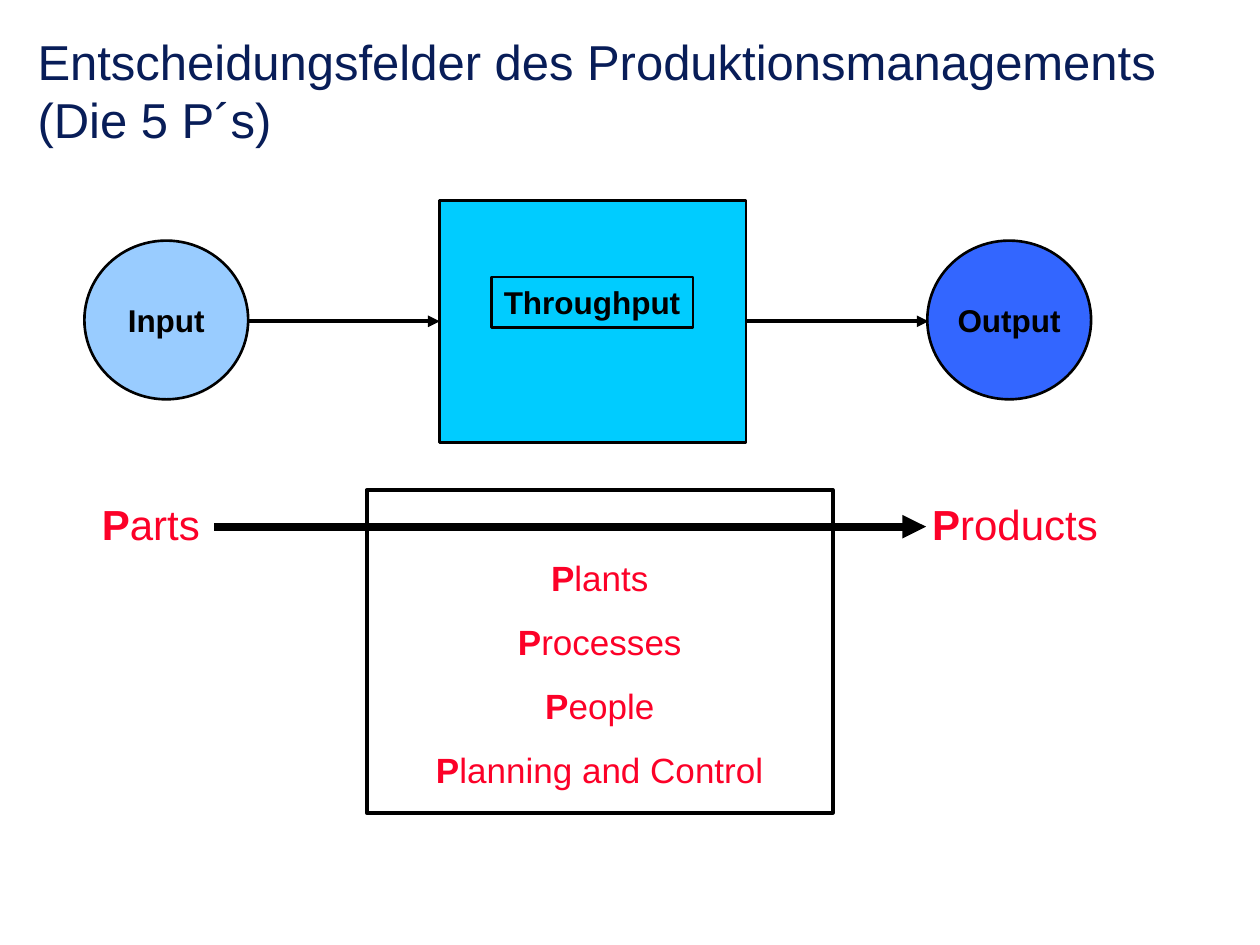
from dataclasses import dataclass

from lxml import etree
from pptx import Presentation
from pptx.dml.color import RGBColor
from pptx.enum import shapes, text
from pptx.oxml import ns
from pptx.util import Inches, Pt


@dataclass(frozen=True)
class Theme:
    font: str = "Arial"
    title: str = "081D58"
    ink: str = "000000"
    accent: str = "FC0128"
    input_fill: str = "99CCFF"
    throughput_fill: str = "00CCFF"
    output_fill: str = "3366FF"
    title_size: float = 28
    label_size: float = 18
    term_size: float = 24
    list_size: float = 20
    thin: float = 1.5
    medium: float = 2.25
    thick: float = 4.5


THEME = Theme()
FLOW_Y = 2.55
PARTS_Y = 4.18


def style_span(span, size, color, bold=False):
    span.font.name = THEME.font
    span.font.size = Pt(size)
    span.font.bold = bold
    span.font.color.rgb = RGBColor.from_string(color)


def add_text_box(slide, area, anchor=text.MSO_ANCHOR.TOP):
    box = slide.shapes.add_textbox(*map(Inches, area))
    box.text_frame.word_wrap = True
    box.text_frame.vertical_anchor = anchor
    return box.text_frame


def add_title(slide, wording, area):
    frame = add_text_box(slide, area, text.MSO_ANCHOR.BOTTOM)
    frame.text = wording
    style_span(frame.paragraphs[0].runs[0], THEME.title_size, THEME.title)


def add_terms(slide, words, area, size, align=text.PP_ALIGN.LEFT):
    """Write one word group per paragraph, with its initial in bold."""
    frame = add_text_box(slide, area)
    for index, word in enumerate(words):
        para = frame.add_paragraph() if index else frame.paragraphs[0]
        para.alignment = align
        para.space_before = Pt(size * 0.625)
        for part, bold in ((word[0], True), (word[1:], False)):
            span = para.add_run()
            span.text = part
            style_span(span, size, THEME.accent, bold)


def add_block(slide, kind, area, width, fill=None, label=None):
    block = slide.shapes.add_shape(kind, *map(Inches, area))
    block.shadow.inherit = False
    block.line.color.rgb = RGBColor.from_string(THEME.ink)
    block.line.width = Pt(width)
    if fill:
        block.fill.solid()
        block.fill.fore_color.rgb = RGBColor.from_string(fill)
    else:
        block.fill.background()
    if label:
        frame = block.text_frame
        frame.word_wrap = False
        frame.vertical_anchor = text.MSO_ANCHOR.MIDDLE
        frame.text = label
        para = frame.paragraphs[0]
        para.alignment = text.PP_ALIGN.CENTER
        style_span(para.runs[0], THEME.label_size, THEME.ink, bold=True)


def add_arrow(slide, start, end, y, width):
    arrow = slide.shapes.add_connector(
        shapes.MSO_CONNECTOR.STRAIGHT, *map(Inches, (start, y, end, y)))
    arrow.line.color.rgb = RGBColor.from_string(THEME.ink)
    arrow.line.width = Pt(width)
    etree.SubElement(arrow.line._get_or_add_ln(), ns.qn("a:tailEnd"), type="triangle")
    etree.SubElement(arrow._element.spPr, ns.qn("a:effectLst"))


def main():
    deck = Presentation()
    deck.slide_width, deck.slide_height = Inches(10), Inches(7.5)
    slide = deck.slides.add_slide(deck.slide_layouts[6])
    rectangle, oval = shapes.MSO_SHAPE.RECTANGLE, shapes.MSO_SHAPE.OVAL

    add_title(slide, "Entscheidungsfelder des Produktionsmanagements (Die 5 P´s)",
              (0.2, 0.13, 9.64, 1.1))

    add_block(slide, rectangle, (3.49, 1.59, 2.43, 1.92), THEME.thin, THEME.throughput_fill)
    for label, left, fill in (("Input", 0.67, THEME.input_fill),
                              ("Output", 7.36, THEME.output_fill)):
        add_block(slide, oval, (left, 1.91, 1.3, 1.26), THEME.thin, fill, label)
    for start, end in ((1.96, 3.49), (5.92, 7.37)):
        add_arrow(slide, start, end, FLOW_Y, THEME.medium)
    add_block(slide, rectangle, (3.9, 2.2, 1.6, 0.4), THEME.thin, label="Throughput")

    add_terms(slide, ["Parts"], (0.71, 3.91, 1.29, 0.5), THEME.term_size)
    add_terms(slide, ["Plants", "Processes", "People", "Planning and Control"],
              (3.02, 4.37, 3.48, 1.96), THEME.list_size, text.PP_ALIGN.CENTER)
    add_terms(slide, ["Products"], (7.3, 3.91, 1.87, 0.5), THEME.term_size)
    add_block(slide, rectangle, (2.91, 3.89, 3.7, 2.56), THEME.medium)
    add_arrow(slide, 1.7, 7.35, PARTS_Y, THEME.thick)

    deck.save("out.pptx")


if __name__ == "__main__":
    main()
